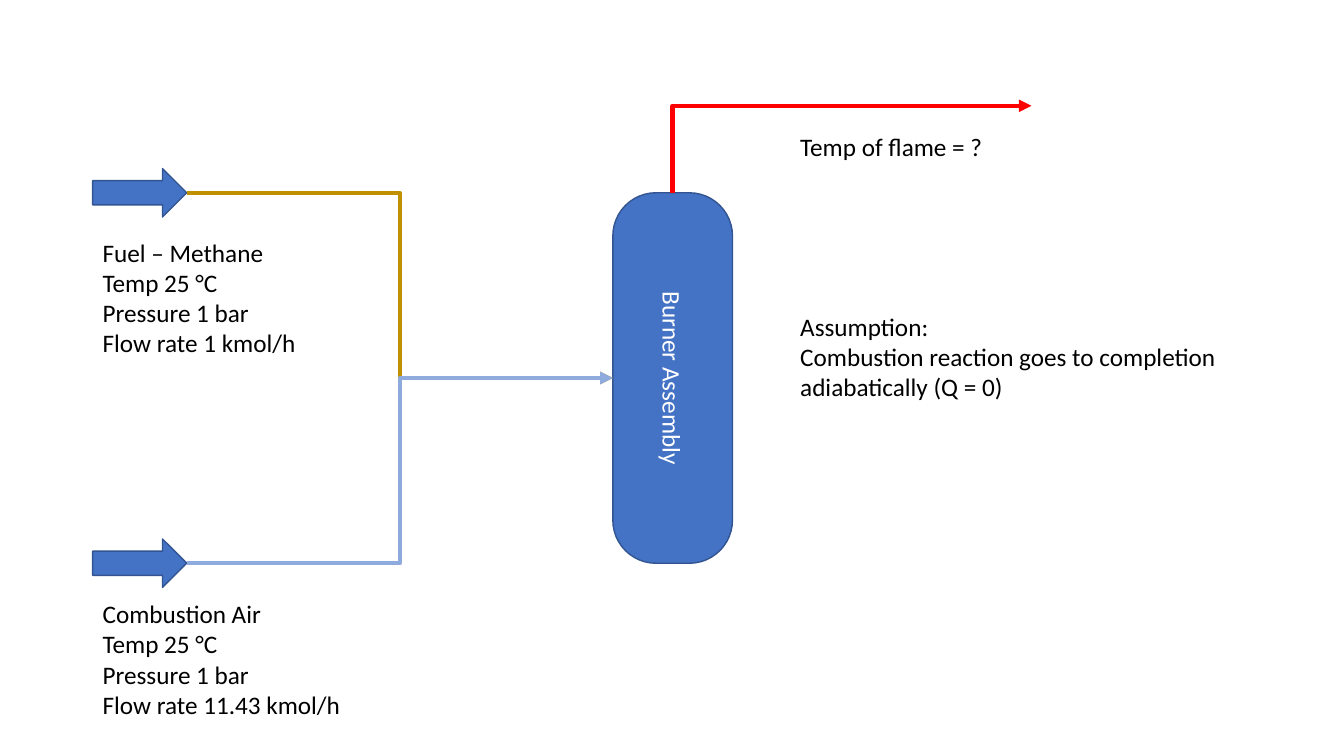
from dataclasses import dataclass

from lxml.etree import SubElement
from pptx import Presentation
from pptx.dml.color import RGBColor
from pptx.enum.shapes import MSO_CONNECTOR as Link, MSO_SHAPE as Kind
from pptx.enum.text import MSO_ANCHOR as Anchor, MSO_AUTO_SIZE as Fit, PP_ALIGN as Align
from pptx.oxml.ns import qn
from pptx.util import Inches, Pt

WIDE, HIGH = Inches(13.33), Inches(7.5)
FONT, SIZE = "Calibri", Pt(18)
BLUE, EDGE = "4472C4", "325491"

# Places are percentages of the slide's width and height
LEFT, RIGHT = 6.9, 58.8
FUEL, FEED, AIR = 25.5, 50, 74.5
ARROW_W, ARROW_H = 7, 6.4
TANK, TANK_W = 45.6, 8.9
FLUE, TOP = TANK + TANK_W / 2, 14


@dataclass
class Pipe:
    x1: float
    y1: float
    x2: float
    y2: float
    color: str
    tip: str = "tailEnd"
    bend: str = "bentConnector3"


@dataclass
class Note:
    x: float
    y: float
    w: float
    h: float
    lines: list[str]


PIPES = [
    Pipe(LEFT + ARROW_W, FUEL, TANK, FEED, "BF9000"),
    Pipe(LEFT + ARROW_W, AIR, TANK, FEED, "8FAADC"),
    # Runs from the arrow tip back to the tank, so the tip is the head
    Pipe(76.75, TOP, FLUE, FUEL, "FF0000", "headEnd", "bentConnector2"),
]
STATE = ["Temp 25 °C", "Pressure 1 bar"]
NOTES = [
    Note(LEFT, 78.5, 20.2, 17.5, ["Combustion Air", *STATE, "Flow rate 11.43 kmol/h"]),
    Note(LEFT, 30.7, 18.9, 17.5, ["Fuel – Methane", *STATE, "Flow rate 1 kmol/h"]),
    Note(RIGHT, 16.7, 20.2, 5.4, ["Temp of flame = ?"]),
    Note(RIGHT, 40.5, 33.2, 13.5, [
        "Assumption:",
        "Combustion reaction goes to completion",
        "adiabatically (Q = 0)",
    ]),
]


def tint(code: str) -> RGBColor:
    return RGBColor.from_string(code)


def col(share: float) -> int:
    return round(WIDE * share / 100)


def row(share: float) -> int:
    return round(HIGH * share / 100)


def style(para, color: str) -> None:
    para.font.name, para.font.size = FONT, SIZE
    para.font.color.rgb = tint(color)


def block(slide, kind: Kind, x: float, y: float, w: float, h: float):
    shape = slide.shapes.add_shape(kind, col(x), row(y), col(w), row(h))
    shape.shadow.inherit = False
    shape.fill.solid()
    shape.fill.fore_color.rgb = tint(BLUE)
    shape.line.color.rgb = tint(EDGE)
    shape.line.width = Pt(1)
    return shape


def draw_pipe(slide, pipe: Pipe) -> None:
    line = slide.shapes.add_connector(
        Link.ELBOW, col(pipe.x1), row(pipe.y1), col(pipe.x2), row(pipe.y2))
    line.line.color.rgb = tint(pipe.color)
    line.line.width = Pt(3)
    props = line._element.spPr
    props.find(qn("a:prstGeom")).set("prst", pipe.bend)
    SubElement(props.find(qn("a:ln")), qn(f"a:{pipe.tip}"), type="triangle")
    SubElement(props, qn("a:effectLst"))


def draw_note(slide, note: Note) -> None:
    box = slide.shapes.add_textbox(col(note.x), row(note.y), col(note.w), row(note.h))
    frame = box.text_frame
    frame.word_wrap = True
    frame.auto_size = Fit.SHAPE_TO_FIT_TEXT
    frame.text = "\n".join(note.lines)
    for para in frame.paragraphs:
        style(para, "000000")


def draw_tank(slide) -> None:
    tank = block(slide, Kind.ROUNDED_RECTANGLE, TANK, FUEL, TANK_W, AIR - FUEL)
    tank.adjustments[0] = 0.36
    frame = tank.text_frame
    frame.vertical_anchor = Anchor.MIDDLE
    frame._txBody.bodyPr.set("vert", "vert")
    frame.text = "Burner Assembly"
    para = frame.paragraphs[0]
    para.alignment = Align.CENTER
    style(para, "FFFFFF")


def main() -> None:
    deck = Presentation()
    deck.slide_width, deck.slide_height = WIDE, HIGH
    slide = deck.slides.add_slide(deck.slide_layouts[6])

    # Burner and its two inlets
    draw_tank(slide)
    for y in (FUEL, AIR):
        block(slide, Kind.RIGHT_ARROW, LEFT, y - ARROW_H / 2, ARROW_W, ARROW_H)

    # Piping and labels
    for pipe in PIPES:
        draw_pipe(slide, pipe)
    for note in NOTES:
        draw_note(slide, note)

    deck.save("out.pptx")


if __name__ == "__main__":
    main()
